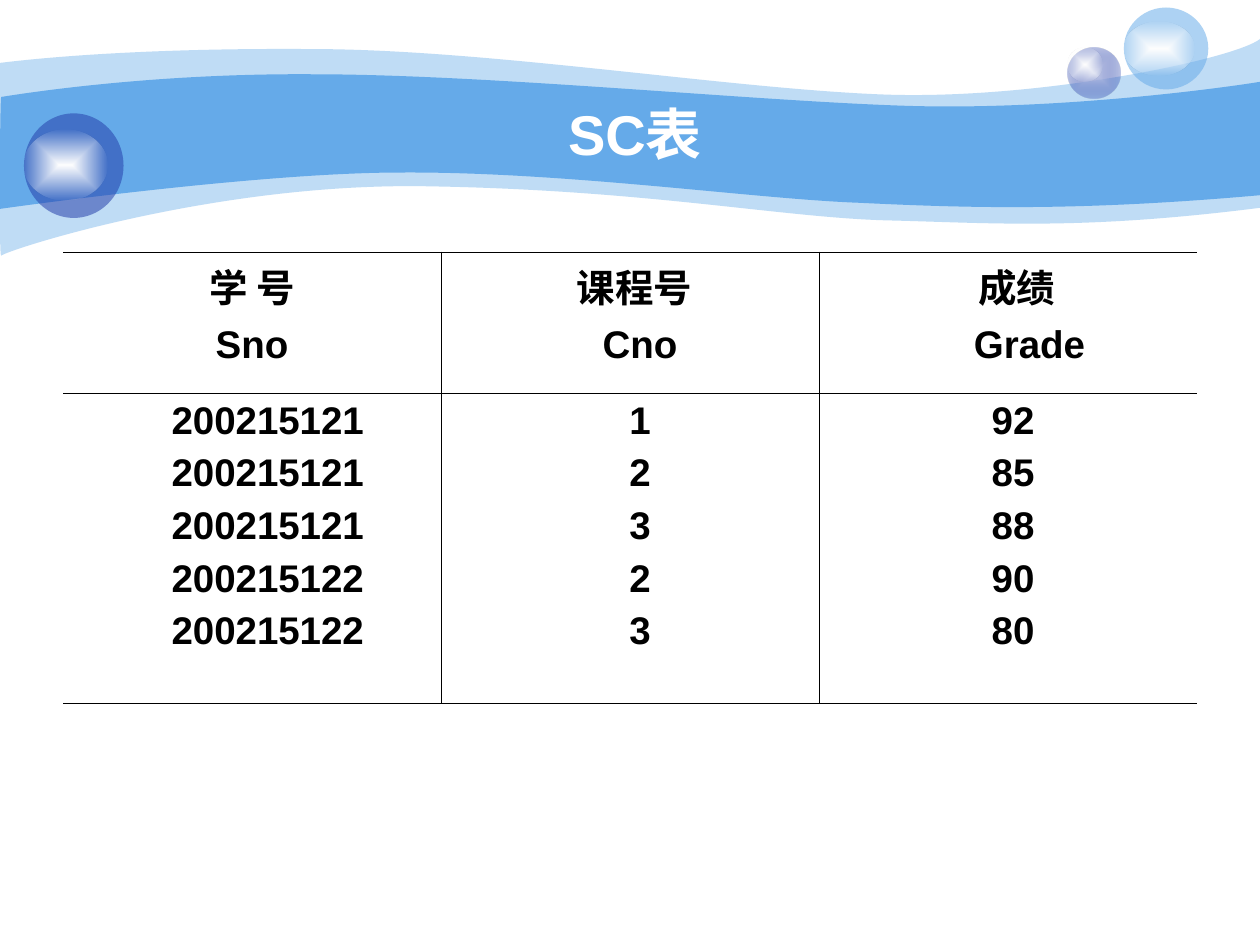
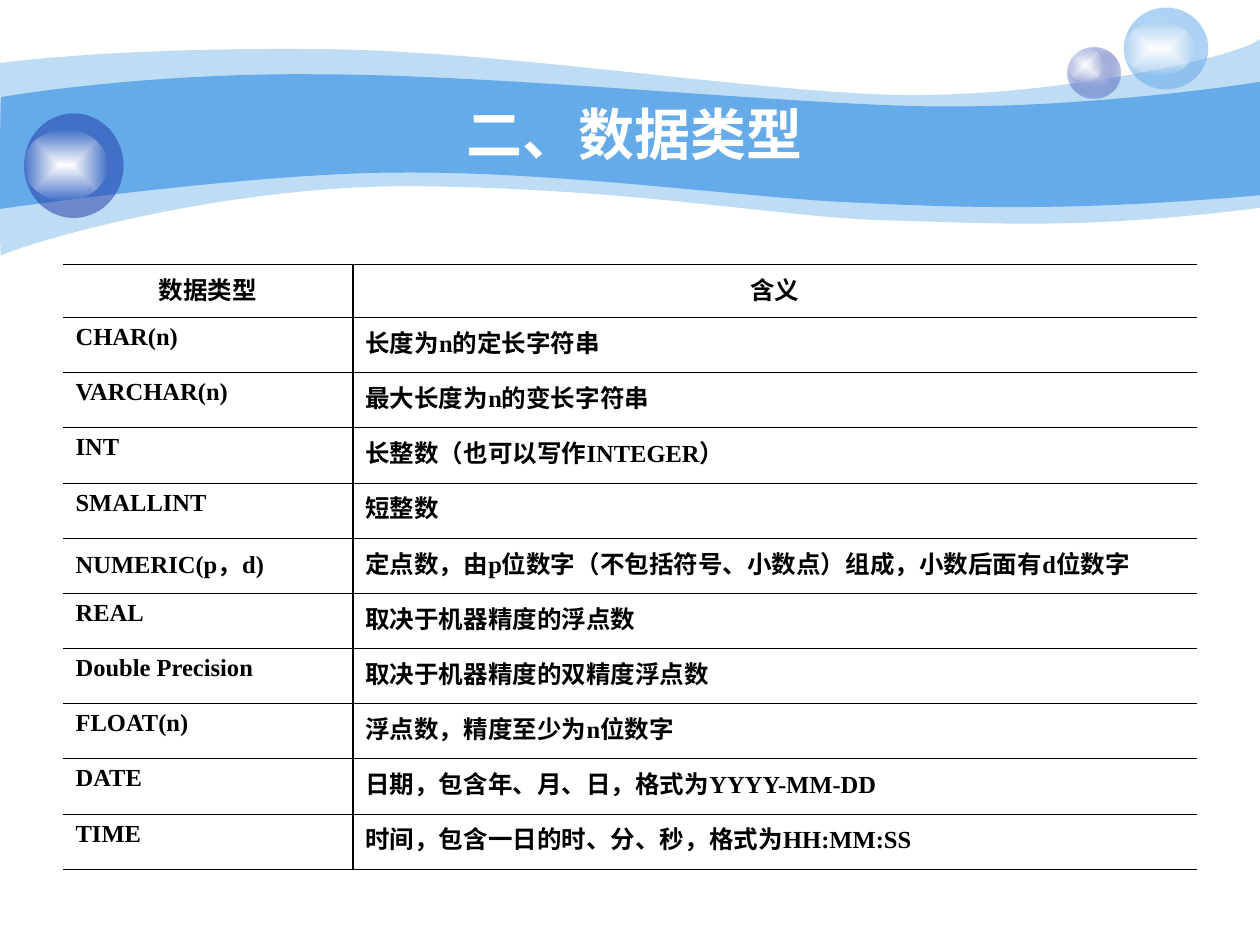
from dataclasses import dataclass
from typing import NamedTuple

from lxml import etree
from pptx import Presentation
from pptx.dml.color import RGBColor
from pptx.enum.shapes import MSO_SHAPE
from pptx.enum.text import MSO_ANCHOR, PP_ALIGN
from pptx.oxml.ns import qn
from pptx.util import Pt

PX = 9144
OVAL = MSO_SHAPE.OVAL
MIDDLE = MSO_ANCHOR.MIDDLE
CENTER = PP_ALIGN.CENTER
LEFT = PP_ALIGN.LEFT

WHITE = RGBColor(0xFF, 0xFF, 0xFF)
BLACK = RGBColor(0x00, 0x00, 0x00)
SKY = RGBColor(0x65, 0xAA, 0xE9)
NAVY = RGBColor(0x23, 0x3D, 0xA9)
MIST = RGBColor(0xC7, 0xCE, 0xE9)

SANS = "Arial"
SERIF = "Times New Roman"
THIN = 0.45
BOLD = 1.08


class Tone(NamedTuple):
    color: RGBColor
    alpha: int = 100


class Wave(NamedTuple):
    tone: Tone
    top: list[tuple[int, int]]
    low: list[tuple[int, int]]


class Ball(NamedTuple):
    box: tuple[int, int, int, int]
    tones: list[Tone]


class Cell(NamedTuple):
    lines: list[str]
    align: PP_ALIGN = CENTER
    shift: tuple[int, ...] = (0,)


@dataclass
class Grid:
    top: int
    high: int
    head: int
    cols: list[int]
    rows: list[list[Cell]]
    font: str
    size: int
    rule: float
    gap: float = 0
    hang: int = 0


GLOW = [Tone(WHITE), Tone(WHITE, 0)]

WAVES = [
    Wave(Tone(SKY, 41),
         [(0, 50), (24, 47), (107, 38), (247, 39), (386, 39), (575, 70),
          (699, 75), (822, 80), (980, 47), (1000, 31)],
         [(1000, 165), (858, 183), (787, 177), (705, 175), (622, 173), (515, 151),
          (343, 148), (172, 144), (4, 199), (1, 203), (-1, 208), (0, 75), (0, 50)]),
    Wave(Tone(SKY),
         [(1, 77), (2, 77), (110, 58), (248, 59), (386, 59), (595, 80),
          (718, 84), (841, 88), (976, 69), (1000, 65)],
         [(1000, 155), (853, 168), (765, 165), (682, 161), (599, 158), (447, 136),
          (317, 137), (203, 137), (-2, 166), (-1, 166), (0, 166), (0, 77), (1, 77)]),
]

BALLS = [
    Ball((847, 38, 42, 40), [Tone(MIST), Tone(NAVY, 31)]),
    Ball((847, 38, 28, 27), GLOW),
    Ball((892, 6, 67, 65), [Tone(SKY, 53)]),
    Ball((892, 17, 56, 43), GLOW),
    Ball((19, 90, 79, 83), [Tone(NAVY, 53)]),
    Ball((19, 103, 66, 56), GLOW),
]

MARKS = Grid(
    top=200, high=358, head=112, cols=[300] * 3, font=SANS, size=22, rule=THIN, gap=5.5,
    rows=[
        [Cell(["学 号", "Sno"]),
         Cell(["课程号", "Cno"], shift=(7, 16)),
         Cell(["成绩", "Grade"], shift=(14, 34))],
        [Cell(["200215121"] * 3 + ["200215122"] * 2, shift=(25,)),
         Cell(["1", "2", "3", "2", "3"], shift=(16,)),
         Cell(["92", "85", "88", "90", "80"], shift=(8,))],
    ])

TYPES = [
    ("CHAR(n)", "长度为n的定长字符串"),
    ("VARCHAR(n)", "最大长度为n的变长字符串"),
    ("INT", "长整数（也可以写作INTEGER）"),
    ("SMALLINT", "短整数"),
    ("NUMERIC(p，d)", "定点数，由p位数字（不包括符号、小数点）组成，小数后面有d位数字"),
    ("REAL", "取决于机器精度的浮点数"),
    ("Double Precision", "取决于机器精度的双精度浮点数"),
    ("FLOAT(n)", "浮点数，精度至少为n位数字"),
    ("DATE", "日期，包含年、月、日，格式为YYYY-MM-DD"),
    ("TIME", "时间，包含一日的时、分、秒，格式为HH:MM:SS"),
]

KINDS = Grid(
    top=210, high=480, head=42, cols=[230, 670], font=SERIF, size=14, rule=BOLD, hang=38,
    rows=[[Cell(["数据类型"]), Cell(["含义"])]]
    + [[Cell([text], LEFT) for text in pair] for pair in TYPES])

PAGES = [("SC表", MARKS), ("二、数据类型", KINDS)]


def emu(px: float) -> int:
    return round(px * PX)


def add(parent, tag: str, **attrs):
    return etree.SubElement(parent, qn(tag), {k: str(v) for k, v in attrs.items()})


def tint(parent, tone: Tone) -> None:
    node = add(parent, "a:srgbClr", val=tone.color)
    if tone.alpha < 100:
        add(node, "a:alpha", val=tone.alpha * 1000)


def paint(shape, tones: list[Tone]) -> None:
    shape.shadow.inherit = False
    shape.line.fill.background()
    if len(tones) == 1:
        fill = etree.Element(qn("a:solidFill"))
        tint(fill, tones[0])
    else:
        fill = etree.Element(qn("a:gradFill"), rotWithShape="1")
        stops = add(fill, "a:gsLst")
        for i, tone in enumerate(tones):
            tint(add(stops, "a:gs", pos=i * 100000), tone)
        way = add(fill, "a:path", path="rect")
        add(way, "a:fillToRect", l=50000, t=50000, r=50000, b=50000)
    shape._element.spPr.insert(2, fill)


def bend(lines: list) -> None:
    for i in range(0, len(lines), 3):
        curve = etree.Element(qn("a:cubicBezTo"))
        lines[i].addprevious(curve)
        for line in lines[i:i + 3]:
            curve.append(line[0])
            line.getparent().remove(line)


def draw_wave(slide, wave: Wave) -> None:
    first, *rest = wave.top + wave.low
    pen = slide.shapes.build_freeform(*first, scale=float(PX))
    pen.add_line_segments(rest, close=True)
    shape = pen.convert_to_shape()
    lines = list(shape._element.spPr.iter(qn("a:lnTo")))
    turn = len(wave.top) - 1
    bend(lines[:turn])
    bend(lines[turn + 1:len(rest)])
    paint(shape, [wave.tone])


def draw_ball(slide, ball: Ball) -> None:
    paint(slide.shapes.add_shape(OVAL, *map(emu, ball.box)), ball.tones)


def write(frame, lines: list[str], *, font: str, size: int, color: RGBColor,
          align: PP_ALIGN = CENTER, gap: float = 0,
          shift: tuple[int, ...] = (0,), hang: int = 0) -> None:
    for i, line in enumerate(lines):
        para = frame.paragraphs[0] if i == 0 else frame.add_paragraph()
        para.alignment = align
        props = para._p.get_or_add_pPr()
        props.set("marL", str(emu(shift[i % len(shift)] + hang)))
        props.set("indent", str(-emu(hang)))
        if i and gap:
            para.space_before = Pt(gap)
        run = para.add_run()
        run.text = line
        run.font.name = font
        run.font.size = Pt(size)
        run.font.bold = True
        run.font.color.rgb = color


def edge(cell, side: str, width: float) -> None:
    props = cell._tc.get_or_add_tcPr()
    line = add(props, f"a:ln{side}", w=Pt(width))
    if width:
        tint(add(line, "a:solidFill"), Tone(BLACK))
    else:
        add(line, "a:noFill")


def draw_grid(slide, grid: Grid) -> None:
    count, wide = len(grid.rows), len(grid.cols)
    table = slide.shapes.add_table(
        count, wide, emu(50), emu(grid.top), emu(sum(grid.cols)), emu(grid.high)).table
    table.first_row = table.horz_banding = False
    for col, width in zip(table.columns, grid.cols):
        col.width = emu(width)
    for r, row in enumerate(grid.rows):
        table.rows[r].height = emu((grid.high - grid.head) / (count - 1) if r else grid.head)
        for c, item in enumerate(row):
            cell = table.cell(r, c)
            edge(cell, "L", grid.rule if c else 0)
            edge(cell, "R", grid.rule if c < wide - 1 else 0)
            edge(cell, "T", THIN)
            edge(cell, "B", THIN)
            cell.fill.background()
            write(cell.text_frame, item.lines, font=grid.font, size=grid.size, color=BLACK,
                  align=item.align, gap=grid.gap, shift=item.shift, hang=grid.hang)


def draw_title(slide, text: str) -> None:
    frame = slide.shapes.add_textbox(*map(emu, (100, 75, 808, 62))).text_frame
    frame.word_wrap = True
    frame.vertical_anchor = MIDDLE
    write(frame, [text], font=SANS, size=32, color=WHITE)


def main() -> None:
    deck = Presentation()
    deck.slide_width, deck.slide_height = emu(1000), emu(750)
    for title, grid in PAGES:
        slide = deck.slides.add_slide(deck.slide_layouts[6])
        for wave in WAVES:
            draw_wave(slide, wave)
        for ball in BALLS:
            draw_ball(slide, ball)
        draw_title(slide, title)
        draw_grid(slide, grid)
    deck.save("out.pptx")


if __name__ == "__main__":
    main()
